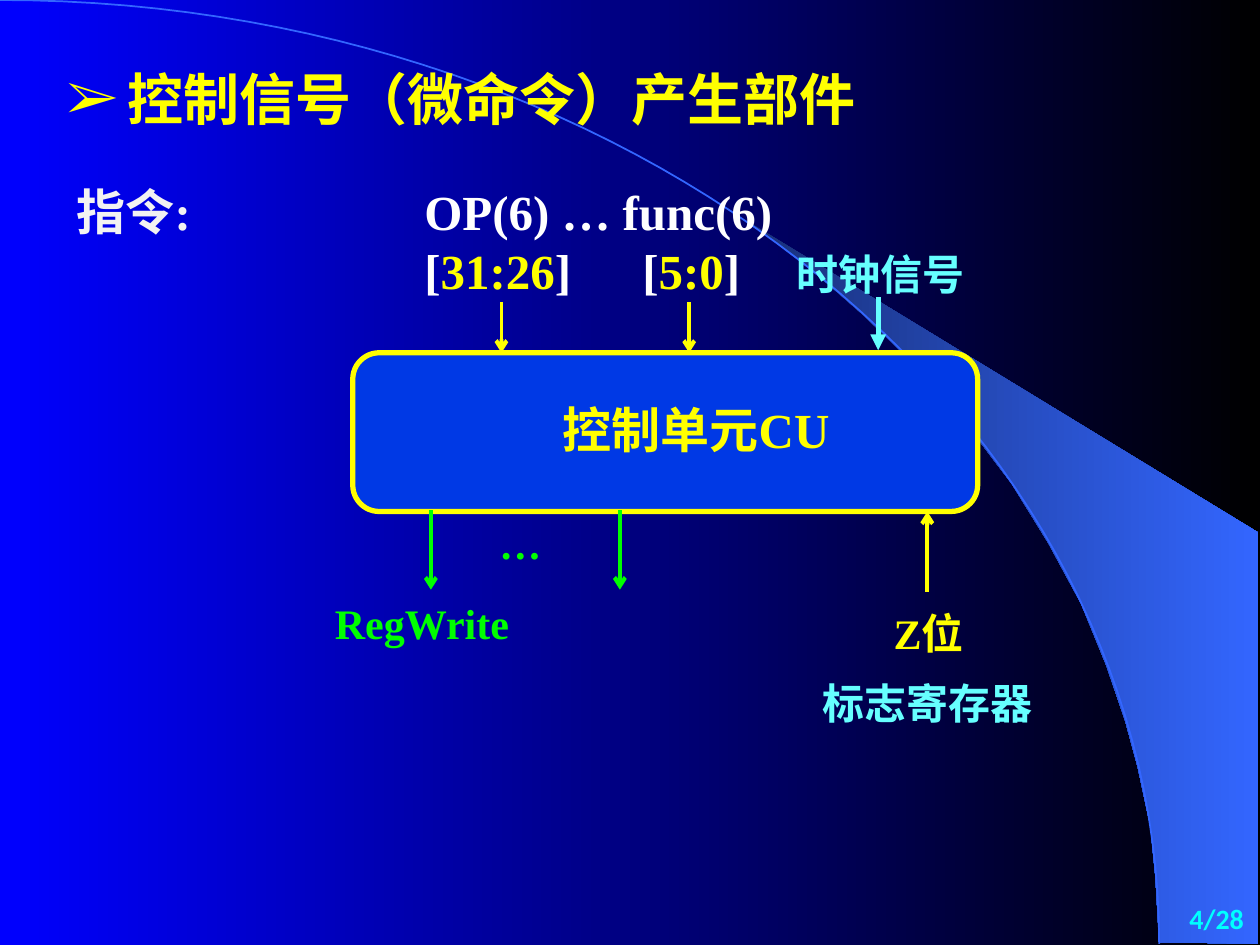
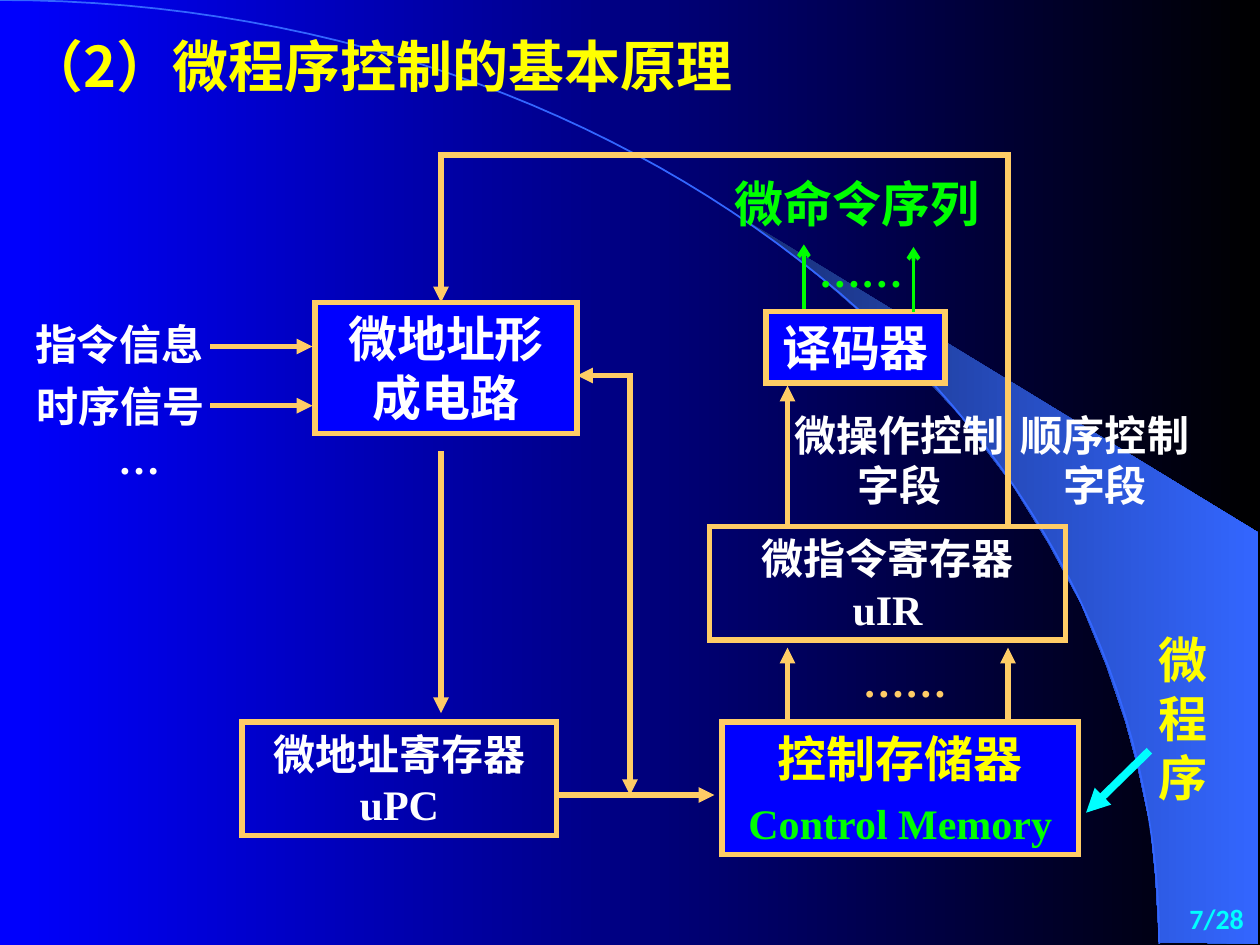
import pptx
import pptx.util
import pptx.dml.color
import pptx.enum.shapes
import pptx.enum.text
import pptx.oxml.ns
from lxml import etree

Inches, Pt = pptx.util.Inches, pptx.util.Pt
RGB = pptx.dml.color.RGBColor
SHAPE = pptx.enum.shapes.MSO_SHAPE
LINK = pptx.enum.shapes.MSO_CONNECTOR.STRAIGHT
ANCHOR = pptx.enum.text.MSO_ANCHOR
ALIGN = pptx.enum.text.PP_ALIGN
LEFT, MID, RIGHT = ALIGN.LEFT, ALIGN.CENTER, ALIGN.RIGHT
qn = pptx.oxml.ns.qn

BLUE, BLACK = RGB(0, 0, 255), RGB(0, 0, 0)
NAVY, SKY = RGB(0x18, 0x2F, 0x76), RGB(0x33, 0x66, 0xFF)
ROYAL = RGB(0, 0x39, 0xE5)
YELLOW, GREEN, GOLD = RGB(255, 255, 0), RGB(0, 255, 0), RGB(255, 0xCC, 0x66)
WHITE, PALE = RGB(255, 255, 255), RGB(0xF2, 0xF2, 0xF2)
CYAN, AQUA = RGB(0, 255, 255), RGB(0x66, 255, 255)
SERIF, HAN, SANS = "Times New Roman", "Noto Sans CJK SC", "Calibri"

# Shared backdrop
ARC = [(0, 0), (5.08, 0), (9.2, 3.35), (9.2, 7.49)]
BEAM = [(9.2, 7.48), (9.99, 7.49), (9.99, 4.23), (5.89, 1.73), (6.24, 1.99),
        (6.53, 2.22), (6.85, 2.5), (7.16, 2.8), (7.62, 3.3), (8.03, 3.84),
        (8.32, 4.31), (8.58, 4.79), (8.78, 5.28), (8.93, 5.72), (9.03, 6.09),
        (9.13, 6.56), (9.17, 6.96), (9.2, 7.48)]

# A text is: place, size, align, paragraphs; a paragraph is a list of (words, colour).
# An arrow set is: colour, width, head, list of (x1, y1, x2, y2).
CONTROL = dict(
    page="4/28",
    title=dict(words="控制信号（微命令）产生部件", place=(0.04, 0.36, 8.13, 0.74),
               font=SERIF, bullet="➢"),
    boxes=[(SHAPE.ROUNDED_RECTANGLE, (2.8, 2.8, 4.96, 1.26), ROYAL, YELLOW, 28, [])],
    lines=[
        (YELLOW, 2.25, "arrow", [(3.98, 2.41, 3.98, 2.8), (5.47, 2.41, 5.47, 2.8),
                                 (7.36, 4.68, 7.36, 4.06)]),
        (GREEN, 2.25, "arrow", [(x, 4.06, x, 4.68) for x in (3.42, 4.92)]),
        (AQUA, 3, "triangle", [(6.97, 2.38, 6.97, 2.78)]),
    ],
    texts=[
        ((4.37, 3.12, 2.6, 0.57), 28, LEFT, [[("控制单元CU", YELLOW)]]),
        ((0.51, 1.39, 2.12, 0.55), 28, LEFT, [[("指令:", PALE)]]),
        ((3.27, 1.39, 3.2, 0.55), 28, LEFT, [[("OP(6) … func(6)", WHITE)]]),
        ((3.27, 1.86, 1.57, 0.55), 28, LEFT,
         [[("[", WHITE), ("31:26", YELLOW), ("]", WHITE)]]),
        ((5, 1.86, 1.26, 0.55), 28, LEFT,
         [[("[", WHITE), ("5:0", YELLOW), ("]", WHITE)]]),
        ((6.9, 4.77, 0.94, 0.55), 24, MID, [[("Z位", YELLOW)]]),
        ((2.56, 4.69, 1.73, 0.55), 24, LEFT, [[("RegWrite", GREEN)]]),
        ((3.66, 4.06, 0.94, 0.55), 24, MID, [[("…", GREEN)]]),
        ((6.26, 5.33, 2.2, 0.55), 24, MID, [[("标志寄存器", AQUA)]]),
        ((6.12, 1.92, 1.73, 0.55), 24, MID, [[("时钟信号", AQUA)]]),
    ])

MICRO = dict(
    page="7/28",
    title=dict(words="（2）微程序控制的基本原理", place=(0.12, 0.2, 6.5, 0.64),
               font=HAN, bullet=None),
    boxes=[
        (SHAPE.RECTANGLE, (2.5, 2.4, 2.08, 1.04), BLUE, GOLD, 28,
         [[("微地址形成电路", WHITE)]]),
        (SHAPE.RECTANGLE, (1.92, 5.73, 2.5, 0.9), None, GOLD, 24,
         [[("微地址寄存器", WHITE)], [("uPC", WHITE)]]),
        (SHAPE.RECTANGLE, (6.08, 2.47, 1.42, 0.57), BLUE, GOLD, 28,
         [[("译码器", WHITE)]]),
        (SHAPE.RECTANGLE, (5.63, 4.18, 2.83, 0.9), None, GOLD, 24,
         [[("微指令寄存器", WHITE)], [("uIR", WHITE)]]),
        (SHAPE.RECTANGLE, (5.73, 5.73, 2.83, 1.05), BLUE, GOLD, 28,
         [[("控制存储器", YELLOW)], [("Control Memory", GREEN, 24, 6)]]),
    ],
    lines=[
        (GOLD, 3, None, [(8, 4.14, 8, 1.23), (3.5, 1.23, 8, 1.23)]),
        (GOLD, 3, "triangle",
         [(3.5, 1.23, 3.5, 2.4), (3.5, 3.6, 3.5, 5.66), (6.25, 4.14, 6.25, 3.06),
          (4.42, 6.31, 5.67, 6.31), (5, 2.98, 4.58, 2.98), (5, 2.98, 5, 6.31)]
         + [(x, 5.73, x, 5.14) for x in (6.25, 8)]
         + [(1.69, y, 2.48, y) for y in (2.75, 3.22)]),
        (GREEN, 2.25, "arrow", [(6.38, 2.44, 6.38, 1.94), (7.25, 2.46, 7.25, 1.96)]),
        (CYAN, 4.5, "triangle", [(9.1, 5.98, 8.62, 6.45)]),
    ],
    texts=[
        ((7.81, 3.2, 1.92, 0.9), 24, MID, [[("顺序控制", WHITE)], [("字段", WHITE)]]),
        ((6.18, 3.2, 1.92, 0.9), 24, MID, [[("微操作控制", WHITE)], [("字段", WHITE)]]),
        ((5.62, 1.33, 2.36, 0.57), 28, MID, [[("微命令序列", GREEN)]]),
        ((6.4, 1.9, 0.92, 0.5), 24, LEFT, [[("……", GREEN)]]),
        ((6.75, 5.15, 0.92, 0.5), 24, LEFT, [[("……", GOLD)]]),
        ((9.1, 4.95, 0.7, 1.5), 28, LEFT, [[("微程序", YELLOW)]]),
        ((0.18, 2.48, 1.67, 0.5), 24, LEFT, [[("指令信息", WHITE)]]),
        ((0.16, 2.97, 1.6, 0.5), 24, MID, [[("时序信号", WHITE)]]),
        ((0.27, 3.38, 1.67, 0.5), 24, MID, [[("…", WHITE)]]),
    ])


def blend(fill, first, last):
    """Fill with a gradient that runs from left to right."""
    fill.gradient()
    fill.gradient_angle = 0
    for stop, tint in zip(fill.gradient_stops, (first, last)):
        stop.color.rgb = tint


def trace(slide, points, close):
    spots = [(Inches(x), Inches(y)) for x, y in points]
    pen = slide.shapes.build_freeform(*spots[0])
    pen.add_line_segments(spots[1:], close=close)
    shape = pen.convert_to_shape()
    shape.shadow.inherit = False
    return shape


def curve(ends, steps=60):
    """Points along a cubic Bezier curve."""
    for step in range(steps + 1):
        t = step / steps
        parts = ((1 - t) ** 3, 3 * t * (1 - t) ** 2, 3 * t * t * (1 - t), t ** 3)
        yield tuple(sum(p * end[axis] for p, end in zip(parts, ends))
                    for axis in (0, 1))


def scene(slide):
    blend(slide.background.fill, BLUE, BLACK)
    beam = trace(slide, BEAM, True)
    blend(beam.fill, NAVY, SKY)
    beam.line.fill.background()
    arc = trace(slide, list(curve(ARC)), False)
    arc.fill.background()
    arc.line.color.rgb, arc.line.width = SKY, Pt(1)


def write(frame, paras, size, align, font=SERIF, anchor=ANCHOR.TOP):
    for name, value in dict(word_wrap=True, vertical_anchor=anchor).items():
        setattr(frame, name, value)
    for i, runs in enumerate(paras):
        para = frame.paragraphs[0] if i == 0 else frame.add_paragraph()
        para.alignment = align
        for words, tint, *more in runs:
            run = para.add_run()
            run.text = words
            points, gap = more or (size, 0)
            if gap:
                para.space_before = Pt(gap)
            for name, value in dict(name=font, size=Pt(points), bold=True).items():
                setattr(run.font, name, value)
            run.font.color.rgb = tint
            east = etree.SubElement(run.font._element, qn("a:ea"))
            east.set("typeface", HAN)


def label(slide, place, *args, **form):
    box = slide.shapes.add_textbox(*map(Inches, place))
    write(box.text_frame, *args, **form)
    return box


def head(slide, words, place, font, bullet):
    box = label(slide, place, [[(words, YELLOW)]], 32, LEFT, font=font)
    if bullet:
        para = box.text_frame.paragraphs[0]
        para.line_spacing = 1.2
        props = para._p.get_or_add_pPr()
        props.set("marL", str(Inches(0.87)))
        props.set("indent", str(Inches(-0.48)))
        tint = etree.SubElement(props, qn("a:buClr"))
        etree.SubElement(tint, qn("a:srgbClr")).set("val", str(YELLOW))
        etree.SubElement(props, qn("a:buFont")).set("typeface", font)
        etree.SubElement(props, qn("a:buChar")).set("char", bullet)


def stroke(line, tint, width):
    """Set colour and width, with square ends and sharp corners."""
    line.color.rgb, line.width = tint, Pt(width)
    edge = line._get_or_add_ln()
    edge.set("cap", "sq")
    etree.SubElement(edge, qn("a:miter")).set("lim", "800000")
    return edge


def block(slide, kind, place, fill, tint, size, paras):
    shape = slide.shapes.add_shape(kind, *map(Inches, place))
    shape.shadow.inherit = False
    if fill is None:
        shape.fill.background()
    else:
        shape.fill.solid()
        shape.fill.fore_color.rgb = fill
    stroke(shape.line, tint, 3)
    write(shape.text_frame, paras, size, MID)


def link(slide, tint, width, tip, ends):
    wire = slide.shapes.add_connector(LINK, *map(Inches, ends))
    edge = stroke(wire.line, tint, width)
    if tip:
        etree.SubElement(edge, qn("a:tailEnd")).set("type", tip)
    etree.SubElement(wire._element.spPr, qn("a:effectLst"))


def build(deck, page, title, boxes, lines, texts):
    slide = deck.slides.add_slide(deck.slide_layouts[6])
    scene(slide)
    head(slide, **title)
    for box in boxes:
        block(slide, *box)
    for tint, width, tip, group in lines:
        for ends in group:
            link(slide, tint, width, tip, ends)
    for place, size, align, paras in texts:
        label(slide, place, paras, size, align)
    label(slide, (8.79, 7.09, 1.18, 0.39), [[(page, CYAN)]], 16, RIGHT,
          font=SANS, anchor=ANCHOR.MIDDLE)


def main():
    deck = pptx.Presentation()
    deck.slide_width, deck.slide_height = Inches(10), Inches(7.5)
    for plan in (CONTROL, MICRO):
        build(deck, **plan)
    deck.save("out.pptx")


if __name__ == "__main__":
    main()
